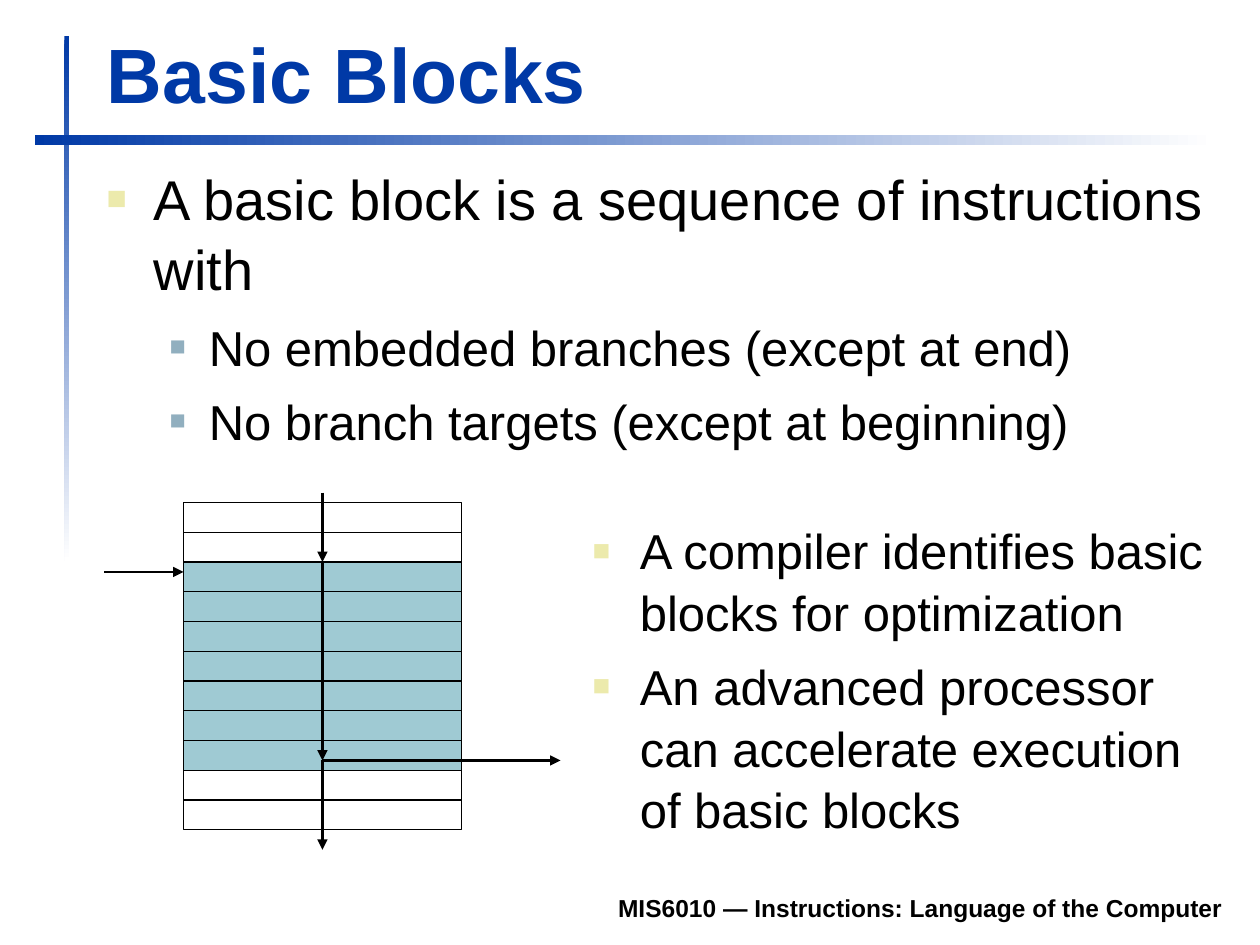
from lxml import etree
from pptx import Presentation
from pptx.dml.color import RGBColor
from pptx.enum.shapes import MSO_CONNECTOR, MSO_SHAPE
from pptx.enum.text import MSO_ANCHOR, MSO_AUTO_SIZE, PP_ALIGN
from pptx.oxml.ns import qn
from pptx.util import Cm, Pt

STRAIGHT = MSO_CONNECTOR.STRAIGHT
RECTANGLE = MSO_SHAPE.RECTANGLE
BOTTOM = MSO_ANCHOR.BOTTOM
NO_AUTOFIT = MSO_AUTO_SIZE.NONE
LEFT, RIGHT = PP_ALIGN.LEFT, PP_ALIGN.RIGHT

BLUE = RGBColor(0x00, 0x39, 0xA6)
WHITE = RGBColor(0xFF, 0xFF, 0xFF)
BLACK = RGBColor(0x00, 0x00, 0x00)
TEAL = RGBColor(0x9F, 0xCA, 0xD3)
CREAM = RGBColor(0xEC, 0xEA, 0xAC)
STEEL = RGBColor(0x91, 0xAF, 0xBF)

# Bullet styles: level, indent and hanging (cm), space before (pt), colour, size (%)
MAIN = (0, 0.95, 0.95, 8, CREAM, 60)
SUB = (1, 2.06, 0.79, 7, STEEL, 55)
SIDE = (0, 0.95, 0.95, 7, CREAM, 60)


class SlideBuilder:
    """Holds the style and the slide; all lengths are centimetres."""

    font = "Arial"
    line_spacing = 1.05

    def __init__(self, presentation):
        self.slide = presentation.slides.add_slide(presentation.slide_layouts[5])
        self.shapes = self.slide.shapes

    def format_runs(self, paragraph, size, color=BLACK, bold=False):
        for run in paragraph.runs:
            run.font.name = self.font
            run.font.size = Pt(size)
            run.font.bold = bold
            run.font.color.rgb = color

    def title(self, text, left, top, width, height):
        title = self.shapes.title
        title.left, title.top = Cm(left), Cm(top)
        title.width, title.height = Cm(width), Cm(height)
        frame = title.text_frame
        frame.text = text
        frame.auto_size = NO_AUTOFIT
        frame.vertical_anchor = BOTTOM
        frame.paragraphs[0].alignment = LEFT
        self.format_runs(frame.paragraphs[0], 44, BLUE, True)

    def text_box(self, left, top, width, height):
        box = self.shapes.add_textbox(Cm(left), Cm(top), Cm(width), Cm(height))
        box.text_frame.word_wrap = True
        return box.text_frame

    def footer(self, text, left, top, width, height):
        frame = self.text_box(left, top, width, height)
        frame.text = text
        frame.vertical_anchor = BOTTOM
        frame.paragraphs[0].alignment = RIGHT
        self.format_runs(frame.paragraphs[0], 14, bold=True)

    def bullets(self, items, left, top, width, height):
        """Add a list of (text, font size, bullet style) items."""
        frame = self.text_box(left, top, width, height)
        frame.text = "\n".join(text for text, _, _ in items)
        for paragraph, (_, size, style) in zip(frame.paragraphs, items):
            level, indent, hanging, space_before, color, percent = style
            paragraph.level = level
            paragraph.line_spacing = self.line_spacing
            paragraph.space_before = Pt(space_before)
            self.format_runs(paragraph, size)
            properties = paragraph._p.get_or_add_pPr()
            properties.set("marL", str(Cm(indent)))
            properties.set("indent", str(-Cm(hanging)))
            bullet_color = etree.SubElement(properties, qn("a:buClr"))
            etree.SubElement(bullet_color, qn("a:srgbClr"), val=str(color))
            etree.SubElement(properties, qn("a:buSzPct"), val=str(percent * 1000))
            etree.SubElement(properties, qn("a:buFont"), typeface=self.font)
            etree.SubElement(properties, qn("a:buChar"), char="■")

    def rectangle(self, left, top, width, height):
        shape = self.shapes.add_shape(
            RECTANGLE, Cm(left), Cm(top), Cm(width), Cm(height))
        shape.shadow.inherit = False
        return shape

    def fading_bar(self, left, top, width, height, angle):
        bar = self.rectangle(left, top, width, height)
        bar.line.fill.background()
        bar.fill.gradient()
        bar.fill.gradient_angle = angle
        for stop, color in zip(bar.fill.gradient_stops, (BLUE, WHITE)):
            stop.color.rgb = color

    def instruction(self, left, top, width, height, shaded):
        row = self.rectangle(left, top, width, height)
        row.line.color.rgb = BLACK
        row.line.width = Pt(0.75)
        if shaded:
            row.fill.solid()
            row.fill.fore_color.rgb = TEAL
        else:
            row.fill.background()

    def arrow(self, x1, y1, x2, y2):
        arrow = self.shapes.add_connector(STRAIGHT, Cm(x1), Cm(y1), Cm(x2), Cm(y2))
        arrow.line.color.rgb = BLACK
        arrow.line.width = Pt(1.5)
        etree.SubElement(arrow.line._get_or_add_ln(), qn("a:tailEnd"), type="triangle")
        etree.SubElement(arrow._element.spPr, qn("a:effectLst"))


def draw_block_diagram(builder):
    left, top, width, row_height = 3.7, 10.13, 5.6, 0.6
    row_count, block = 11, range(2, 9)
    center = left + width / 2
    block_top = top + block.start * row_height
    branch = top + block.stop * row_height - 0.2
    entry = block_top + 0.2

    def draw_rows(rows, shaded):
        for row in rows:
            builder.instruction(left, top + row * row_height, width, row_height, shaded)

    draw_rows(block, True)
    stops = (top - 0.2, block_top, branch, top + row_count * row_height + 0.4)
    for start, end in zip(stops, stops[1:]):
        builder.arrow(center, start, center, end)
    builder.arrow(center, branch, left + width + 2, branch)
    builder.arrow(left - 1.6, entry, left, entry)
    draw_rows([row for row in range(row_count) if row not in block], False)


def main():
    presentation = Presentation()
    presentation.slide_width, presentation.slide_height = Cm(25.4), Cm(19.05)
    builder = SlideBuilder(presentation)
    builder.fading_bar(1.3, 0.72, 0.1, 10.6, 270)
    builder.fading_bar(0.7, 2.72, 23.8, 0.2, 0)
    builder.footer("MIS6010 — Instructions: Language of the Computer",
                   4.7, 17.73, 20.2, 1)
    builder.title("Basic Blocks", 1.9, 0.4, 22.94, 2.12)
    builder.bullets([
        ("A basic block is a sequence of instructions with", 32, MAIN),
        ("No embedded branches (except at end)", 28, SUB),
        ("No branch targets (except at beginning)", 28, SUB),
    ], 1.9, 3.12, 22.96, 6.4)
    draw_block_diagram(builder)
    builder.bullets([
        ("A compiler identifies basic blocks for optimization", 28, SIDE),
        ("An advanced processor can accelerate execution of basic blocks", 28, SIDE),
    ], 11.7, 10.31, 12.98, 6.6)
    presentation.save("out.pptx")


if __name__ == "__main__":
    main()
